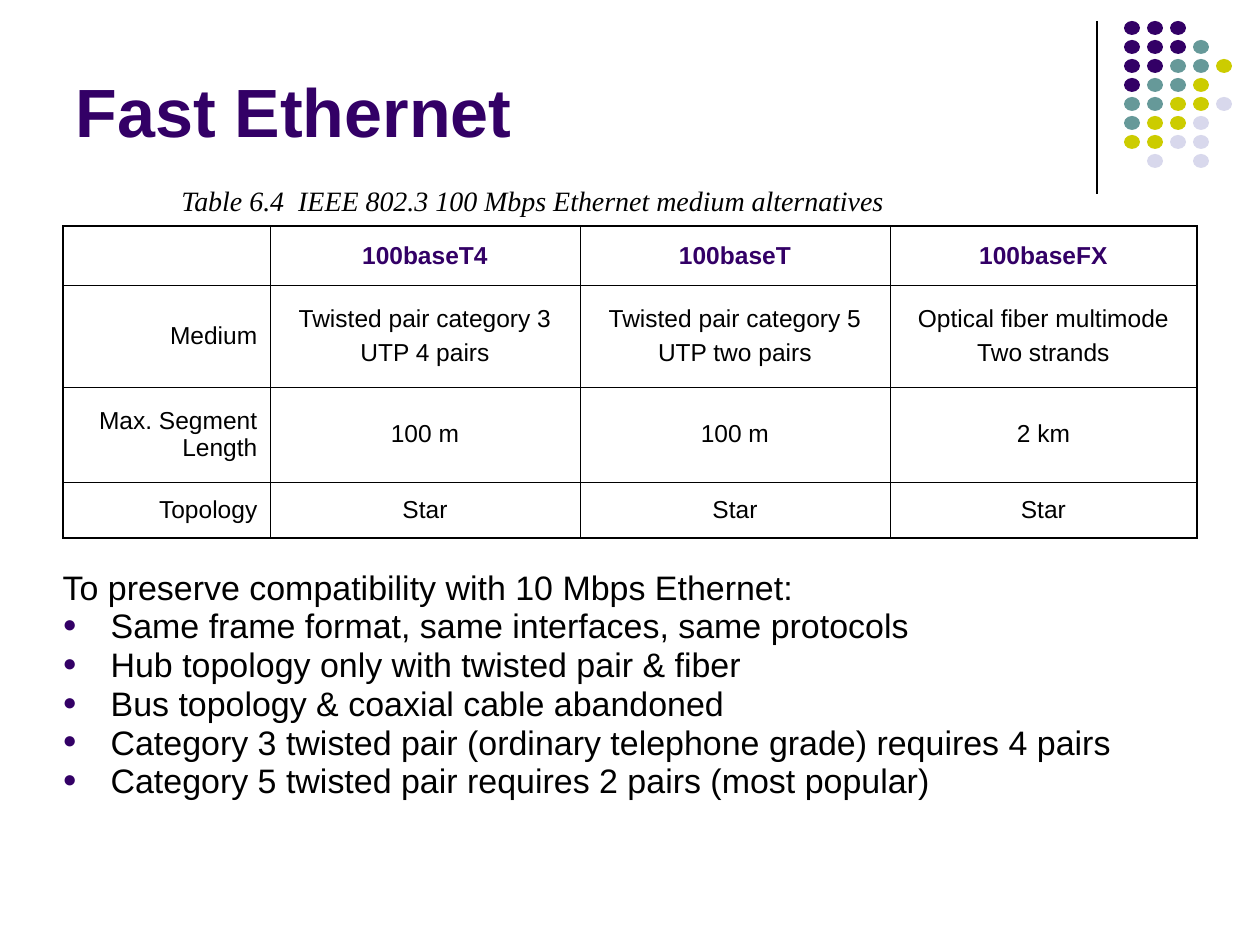
from dataclasses import dataclass

import pptx
import pptx.dml.color
import pptx.enum.shapes
import pptx.enum.text
import pptx.oxml
import pptx.oxml.ns
import pptx.util

EMU_PER_PX = 914400 / 126
BLACK, PURPLE, TEAL, LIME, LAVENDER = "000000", "330066", "669999", "CCCC00", "D8D8EC"
ALIGN = pptx.enum.text.PP_ALIGN
ANCHOR = pptx.enum.text.MSO_ANCHOR

DOT_COLORS = {"P": PURPLE, "T": TEAL, "L": LIME, "V": LAVENDER}
DOT_ROWS = ["PPP", "PPPT", "PPTTL", "PTTL", "TTLLV", "TLLV", "LLVV", " V V"]

COLUMN_WIDTHS = [207, 310, 310, 307]
ROW_HEIGHTS = [59, 102, 95, 56]
TABLE_ROWS = [
    ["", "100baseT4", "100baseT", "100baseFX"],
    ["Medium", "Twisted pair category 3\nUTP 4 pairs",
     "Twisted pair category 5\nUTP two pairs", "Optical fiber multimode\nTwo strands"],
    ["Max. Segment Length", "100 m", "100 m", "2 km"],
    ["Topology", "Star", "Star", "Star"],
]
INTRODUCTION = "To preserve compatibility with 10 Mbps Ethernet:"
POINTS = [
    "Same frame format, same interfaces, same protocols",
    "Hub topology only with twisted pair & fiber",
    "Bus topology & coaxial cable abandoned",
    "Category 3 twisted pair (ordinary telephone grade) requires 4 pairs",
    "Category 5 twisted pair requires 2 pairs (most popular)",
]


@dataclass
class Box:
    left: int
    top: int
    width: int
    height: int

    def emu(self) -> list[int]:
        return [px(self.left), px(self.top), px(self.width), px(self.height)]


@dataclass
class TextStyle:
    size: float
    color: str = BLACK
    name: str = "Arial"
    bold: bool = False
    italic: bool = False


def px(length: int) -> int:
    return round(length * EMU_PER_PX)


def rgb(color: str) -> pptx.dml.color.RGBColor:
    return pptx.dml.color.RGBColor.from_string(color)


def style_paragraph(paragraph, style: TextStyle, alignment=ALIGN.LEFT) -> None:
    paragraph.alignment = alignment
    font = paragraph.font
    font.name, font.size = style.name, pptx.util.Pt(style.size)
    font.bold, font.italic = style.bold, style.italic
    font.color.rgb = rgb(style.color)


def place(shape, box: Box) -> None:
    shape.left, shape.top, shape.width, shape.height = box.emu()


def append_xml(parent, xml: str) -> None:
    """Append one DrawingML element, given without its namespace declaration."""
    tag_end = min(xml.index(mark) for mark in " />" if mark in xml)
    declaration = " " + pptx.oxml.ns.nsdecls("a")
    parent.append(pptx.oxml.parse_xml(xml[:tag_end] + declaration + xml[tag_end:]))


def add_divider(slide, x: int, top: int, bottom: int) -> None:
    line = slide.shapes.add_connector(
        pptx.enum.shapes.MSO_CONNECTOR.STRAIGHT, px(x), px(top), px(x), px(bottom))
    line.line.color.rgb = rgb(BLACK)
    line.line.width = pptx.util.Pt(0.75)
    append_xml(line._element.spPr, "<a:effectLst/>")


def add_dots(slide) -> None:
    for row, codes in enumerate(DOT_ROWS):
        for column, code in enumerate(codes):
            if code == " ":
                continue
            box = Box(1124 + 23 * column, 21 + 19 * row, 16, 14)
            dot = slide.shapes.add_shape(pptx.enum.shapes.MSO_SHAPE.OVAL, *box.emu())
            dot.shadow.inherit = False
            dot.fill.solid()
            dot.fill.fore_color.rgb = rgb(DOT_COLORS[code])
            dot.line.fill.background()


def fill_title(title) -> None:
    place(title, Box(63, 16, 1040, 141))
    title.text_frame.text = "Fast Ethernet"
    title.text_frame.vertical_anchor = ANCHOR.BOTTOM
    title.text_frame.auto_size = pptx.enum.text.MSO_AUTO_SIZE.NONE
    style_paragraph(title.text_frame.paragraphs[0], TextStyle(39, PURPLE, bold=True))


def add_caption(slide) -> None:
    caption = slide.shapes.add_textbox(*Box(169, 177, 730, 46).emu())
    frame = caption.text_frame
    frame.text = "Table 6.4  IEEE 802.3 100 Mbps Ethernet medium alternatives"
    frame.word_wrap = False
    frame.vertical_anchor = ANCHOR.MIDDLE
    style_paragraph(frame.paragraphs[0], TextStyle(16, name="Times New Roman", italic=True))


def set_borders(cell, outer_sides: dict[str, bool]) -> None:
    """Draw all four borders, thicker on the table's outer sides."""
    properties = cell._tc.get_or_add_tcPr()
    for side, is_outer in outer_sides.items():
        width = pptx.util.Pt(1.08 if is_outer else 0.45)
        append_xml(properties, f'<a:ln{side} w="{width}"><a:solidFill>'
                   f'<a:srgbClr val="{BLACK}"/></a:solidFill></a:ln{side}>')


def add_medium_table(slide) -> None:
    box = Box(63, 226, sum(COLUMN_WIDTHS), sum(ROW_HEIGHTS))
    last_row, last_column = len(ROW_HEIGHTS) - 1, len(COLUMN_WIDTHS) - 1
    table = slide.shapes.add_table(last_row + 1, last_column + 1, *box.emu()).table
    table.first_row = table.horz_banding = False
    for column, width in zip(table.columns, COLUMN_WIDTHS):
        column.width = px(width)
    for row, height in zip(table.rows, ROW_HEIGHTS):
        row.height = px(height)
    for r, texts in enumerate(TABLE_ROWS):
        style = TextStyle(14, PURPLE, bold=True) if r == 0 else TextStyle(14)
        for c, text in enumerate(texts):
            cell = table.cell(r, c)
            set_borders(cell, {"L": c == 0, "R": c == last_column,
                               "T": r == 0, "B": r == last_row})
            cell.fill.background()
            cell.vertical_anchor = ANCHOR.MIDDLE
            cell.text = text
            for paragraph in cell.text_frame.paragraphs:
                paragraph.space_before = pptx.util.Pt(3.5)
                style_paragraph(paragraph, style, ALIGN.RIGHT if c == 0 else ALIGN.CENTER)


def fill_body(body) -> None:
    place(body, Box(50, 570, 1174, 237))
    frame = body.text_frame
    frame.text = "\n".join([INTRODUCTION, *POINTS])
    frame.auto_size = pptx.enum.text.MSO_AUTO_SIZE.NONE
    for index, paragraph in enumerate(frame.paragraphs):
        properties = paragraph._p.get_or_add_pPr()
        properties.set("marL", str(px(48)))
        properties.set("indent", str(px(-48)))
        if index == 0:
            append_xml(properties, "<a:buNone/>")
        else:
            append_xml(properties, f'<a:buClr><a:srgbClr val="{PURPLE}"/></a:buClr>')
            append_xml(properties, '<a:buSzPct val="70000"/>')
            append_xml(properties, '<a:buFont typeface="Arial"/>')
            append_xml(properties, '<a:buChar char="●"/>')
        paragraph.line_spacing = 0.73
        paragraph.space_before = pptx.util.Pt(5.2)
        style_paragraph(paragraph, TextStyle(19.4))


def main() -> None:
    presentation = pptx.Presentation()
    presentation.slide_width, presentation.slide_height = px(1260), px(945)
    slide = presentation.slides.add_slide(presentation.slide_layouts[1])
    add_divider(slide, 1097, 21, 194)
    add_dots(slide)
    fill_title(slide.shapes.title)
    add_medium_table(slide)
    add_caption(slide)
    fill_body(slide.placeholders[1])
    presentation.save("out.pptx")


if __name__ == "__main__":
    main()
